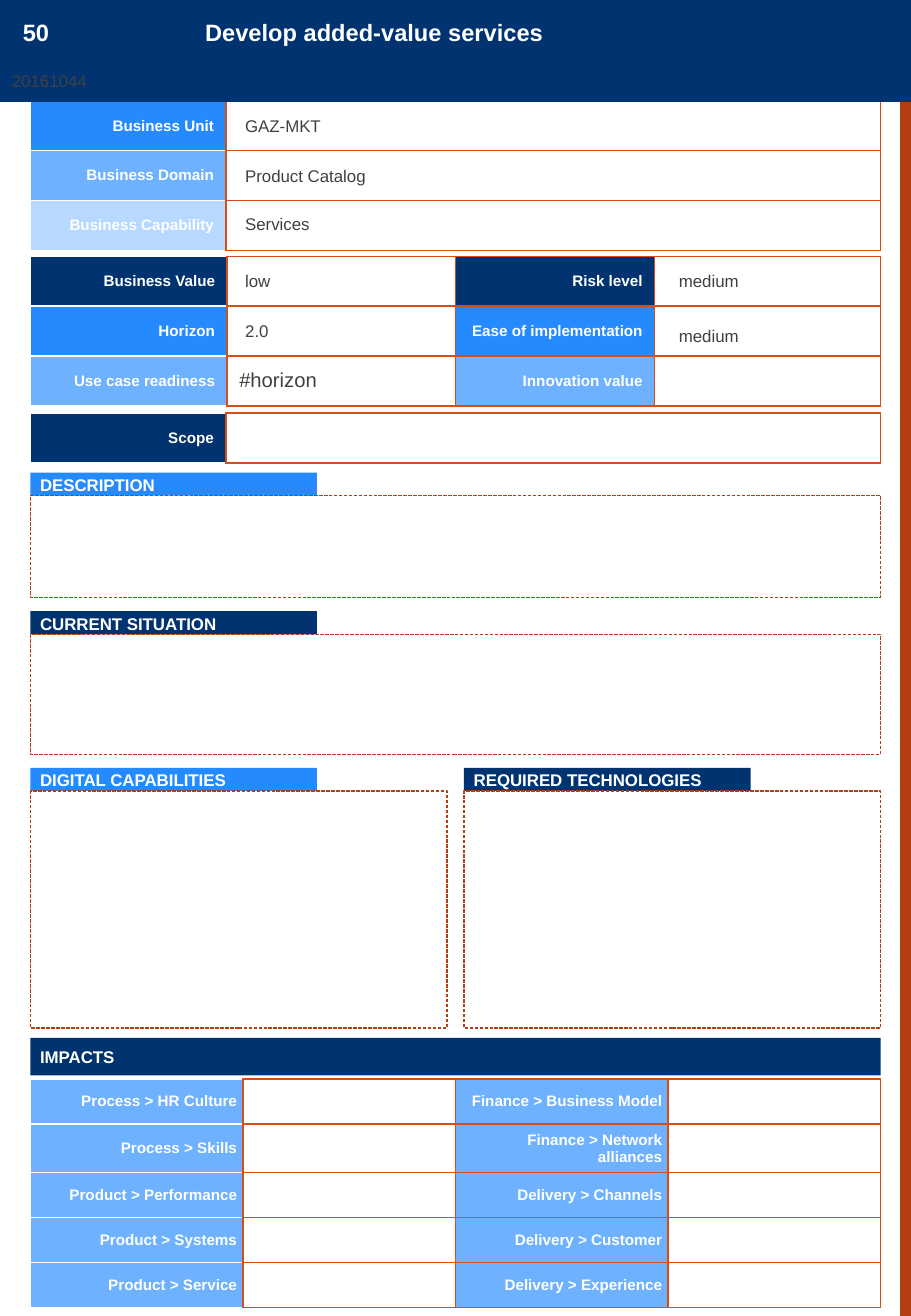
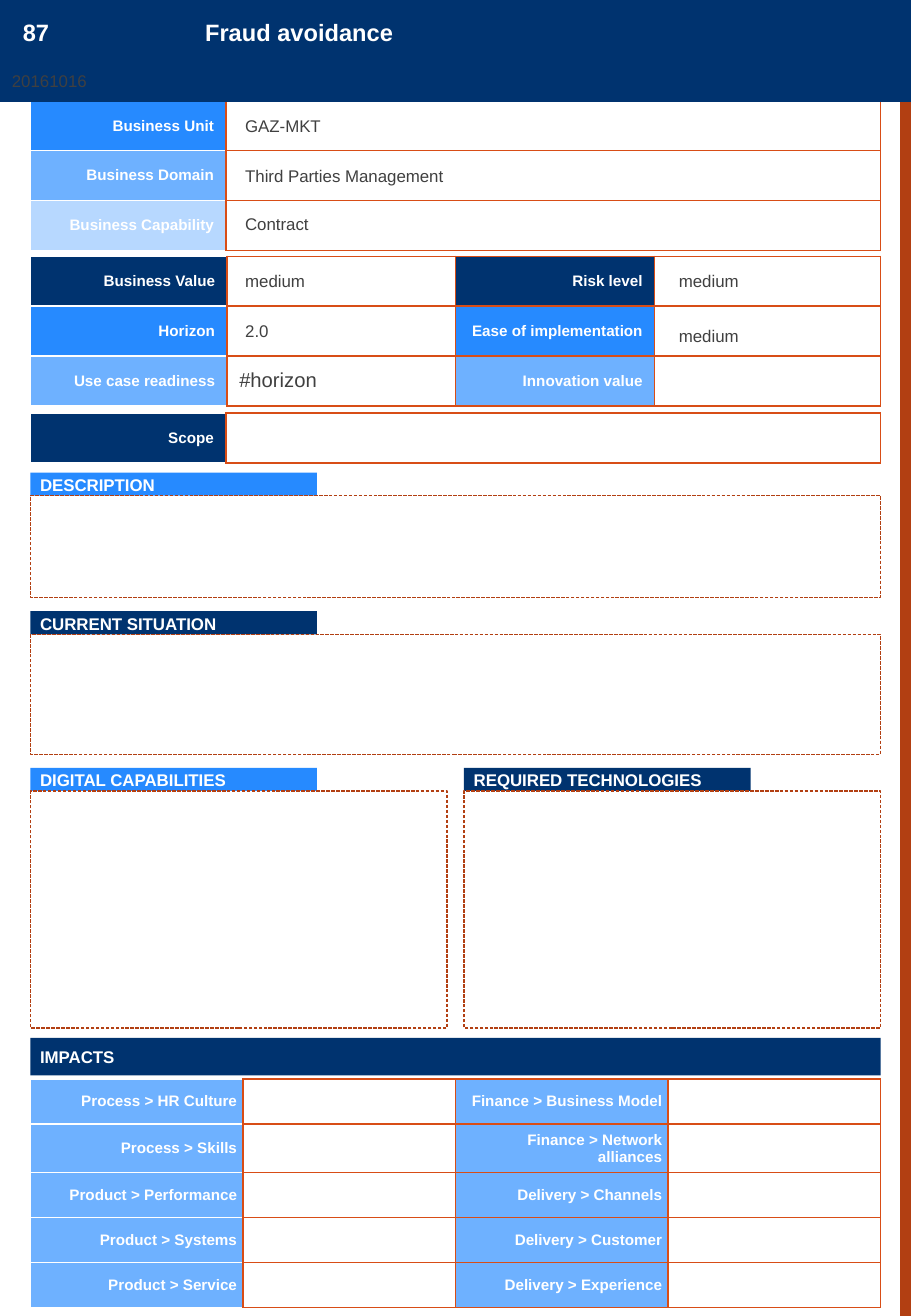
import pptx
import pptx.dml.color
import pptx.enum.dml
import pptx.enum.shapes
import pptx.enum.text
import pptx.oxml.ns
import pptx.util
from lxml import etree

Inches = pptx.util.Inches
Pt = pptx.util.Pt
PP_ALIGN = pptx.enum.text.PP_ALIGN
MSO_ANCHOR = pptx.enum.text.MSO_ANCHOR

COLORS = {
    "navy": "00336F",
    "blue": "268AFF",
    "sky": "6EB1FF",
    "pale": "B7D8FF",
    "rust": "B23F12",
    "orange": "D84D16",
    "white": "FFFFFF",
    "text": "404040",
}
FONT = "Arial"
PAGE_WIDTH, PAGE_HEIGHT = 7.5, 10.83
LEFT, WIDTH = 0.25, 7
RIGHT_HALF, HALF_WIDTH = 3.82, 3.43
TAG_WIDTH, TAG_HEIGHT = 2.36, 0.2
VALUE_LEFT, SECOND_VALUE_LEFT = 1.92, 5.49

CLASSIFICATION = [
    [("Business Unit", "blue"), None],
    [("Business Domain", "sky"), None],
    [("Business Capability", "pale"), None],
]
ASSESSMENT = [
    [("Business Value", "navy"), None, ("Risk level", "navy"), None],
    [("Horizon", "blue"), None, ("Ease of implementation", "blue"), None],
    [("Use case readiness", "sky"), "#horizon", ("Innovation value", "sky"), None],
]
SCOPE = [[("Scope", "navy"), None]]
IMPACT_PAIRS = [
    ("Process > HR Culture", "Finance > Business Model"),
    ("Process > Skills", "Finance > Network alliances"),
    ("Product > Performance", "Delivery > Channels"),
    ("Product > Systems", "Delivery > Customer"),
    ("Product > Service", "Delivery > Experience"),
]
IMPACTS = [[(first, "sky"), None, (second, "sky"), None]
           for first, second in IMPACT_PAIRS]

# title, colour, left, tag top, panel top, panel width, panel height
SECTIONS = [
    ("DESCRIPTION", "blue", LEFT, 3.89, 4.08, WIDTH, 0.84),
    ("CURRENT SITUATION", "navy", LEFT, 5.03, 5.22, WIDTH, 0.99),
    ("DIGITAL CAPABILITIES", "blue", LEFT, 6.32, 6.51, HALF_WIDTH, 1.95),
    ("REQUIRED TECHNOLOGIES", "navy", RIGHT_HALF, 6.32, 6.51, HALF_WIDTH, 1.95),
]

USE_CASES = [
    {"number": "50", "title": "Develop added-value services", "code": "20161044",
     "unit": "GAZ-MKT", "domain": "Product Catalog", "capability": "Services",
     "value": "low", "horizon": "2.0", "risk": "medium", "ease": "medium"},
    {"number": "87", "title": "Fraud avoidance", "code": "20161016",
     "unit": "GAZ-MKT", "domain": "Third Parties Management",
     "capability": "Contract",
     "value": "medium", "horizon": "2.0", "risk": "medium", "ease": "medium"},
]


def rgb(color):
    return pptx.dml.color.RGBColor.from_string(COLORS[color])


def add_run(frame, text, size, color, bold=False, align=PP_ALIGN.LEFT):
    paragraph = frame.paragraphs[0]
    paragraph.alignment = align
    run = paragraph.add_run()
    run.text = text
    run.font.name = FONT
    run.font.size = Pt(size)
    run.font.bold = bold
    run.font.color.rgb = rgb(color)


def add_box(slide, left, top, width, height, fill):
    box = slide.shapes.add_shape(
        pptx.enum.shapes.MSO_SHAPE.RECTANGLE,
        Inches(left), Inches(top), Inches(width), Inches(height))
    box.shadow.inherit = False
    box.fill.solid()
    box.fill.fore_color.rgb = rgb(fill)
    box.line.fill.background()
    return box


def add_header_text(slide, left, top, width, height, text, size, color, bold):
    frame = add_box(slide, left, top, width, height, "navy").text_frame
    frame.vertical_anchor = MSO_ANCHOR.TOP
    add_run(frame, text, size, color, bold)


def add_tag(slide, left, top, width, height, text, fill):
    """Coloured heading bar of a section."""
    frame = add_box(slide, left, top, width, height, fill).text_frame
    frame.vertical_anchor = MSO_ANCHOR.MIDDLE
    frame.margin_left = frame.margin_right = Inches(0.08)
    add_run(frame, text, 10, "white", bold=True)


def add_panel(slide, left, top, width, height):
    """Empty dashed frame below a heading bar."""
    panel = add_box(slide, left, top, width, height, "white")
    panel.line.color.rgb = rgb("rust")
    panel.line.width = Pt(0)
    panel.line.dash_style = pptx.enum.dml.MSO_LINE.SQUARE_DOT


def add_value(slide, left, top, width, text):
    box = slide.shapes.add_textbox(
        Inches(left), Inches(top), Inches(width), Inches(0.29))
    box.text_frame.word_wrap = True
    add_run(box.text_frame, text, 10, "text")


def set_borders(cell, outer):
    """Orange on the right, the given colour on the other three sides."""
    qn = pptx.oxml.ns.qn
    properties = cell._tc.get_or_add_tcPr()
    sides = {"a:lnL": outer, "a:lnR": "orange", "a:lnT": outer, "a:lnB": outer}
    for position, (side, color) in enumerate(sides.items()):
        line = etree.Element(qn(side), w=str(Pt(1)))
        fill = etree.SubElement(line, qn("a:solidFill"))
        etree.SubElement(fill, qn("a:srgbClr"), val=COLORS[color])
        properties.insert(position, line)


def fill_cell(cell, content, outer, margin):
    """A (text, colour) pair is a label, a plain text a value, None is empty."""
    cell.vertical_anchor = MSO_ANCHOR.MIDDLE
    cell.margin_left = cell.margin_right = Inches(margin)
    cell.fill.solid()
    cell.fill.fore_color.rgb = rgb("white")
    if content is None:
        end = etree.SubElement(cell.text_frame.paragraphs[0]._p,
                               pptx.oxml.ns.qn("a:endParaRPr"))
        end.set("sz", "900")
    elif isinstance(content, str):
        add_run(cell.text_frame, content, 12, "text")
    else:
        label, color = content
        cell.fill.fore_color.rgb = rgb(color)
        add_run(cell.text_frame, label, 9, "white", True, PP_ALIGN.RIGHT)
    set_borders(cell, outer)


def add_grid(slide, top, columns, row_height, rows, margin=0.1):
    grid = slide.shapes.add_table(
        len(rows), len(columns), Inches(LEFT), Inches(top),
        Inches(WIDTH), Inches(row_height * len(rows))).table
    grid.first_row = grid.horz_banding = False
    for column, width in zip(grid.columns, columns):
        column.width = Inches(width)
    for row, contents in zip(grid.rows, rows):
        row.height = Inches(row_height)
        for index, content in enumerate(contents):
            outer = "orange" if index else "white"
            fill_cell(row.cells[index], content, outer, margin)


def add_header(slide, case):
    add_box(slide, 0, 0, PAGE_WIDTH, 0.84, "navy")
    add_header_text(slide, 1.59, 0.1, 5.41, 0.34, case["title"], 14, "white", True)
    add_header_text(slide, 0.09, 0.1, 0.8, 0.34, case["number"], 14, "white", True)
    add_header_text(slide, 0, 0.53, 1.06, 0.29, case["code"], 10, "text", False)


def add_values(slide, case):
    for key, left, top, width in [
        ("unit", VALUE_LEFT, 0.9, 4.77),
        ("domain", VALUE_LEFT, 1.31, 4.77),
        ("capability", VALUE_LEFT, 1.71, 4.77),
        ("value", VALUE_LEFT, 2.18, 1.75),
        ("horizon", VALUE_LEFT, 2.59, 1.75),
        ("risk", SECOND_VALUE_LEFT, 2.18, 1.75),
        ("ease", SECOND_VALUE_LEFT, 2.63, 1.75),
    ]:
        add_value(slide, left, top, width, case[key])


def add_use_case(deck, case):
    slide = deck.slides.add_slide(deck.slide_layouts[6])
    add_box(slide, 7.41, 0, 0.09, PAGE_HEIGHT, "rust")
    add_grid(slide, 0.83, [1.61, 5.39], 0.41, CLASSIFICATION)
    add_header(slide, case)
    add_grid(slide, 2.11, [1.62, 1.88, 1.64, 1.86], 0.41, ASSESSMENT)
    add_grid(slide, 3.4, [1.61, 5.39], 0.41, SCOPE)
    add_values(slide, case)
    for title, color, left, tag_top, panel_top, width, height in SECTIONS:
        add_tag(slide, left, tag_top, TAG_WIDTH, TAG_HEIGHT, title, color)
        add_panel(slide, left, panel_top, width, height)
    add_tag(slide, LEFT, 8.54, WIDTH, 0.31, "IMPACTS", "navy")
    add_grid(slide, 8.88, [WIDTH / 4] * 4, 0.37, IMPACTS, margin=0.05)


def main():
    deck = pptx.Presentation()
    deck.slide_width = Inches(PAGE_WIDTH)
    deck.slide_height = Inches(PAGE_HEIGHT)
    for case in USE_CASES:
        add_use_case(deck, case)
    deck.save("out.pptx")


if __name__ == "__main__":
    main()
